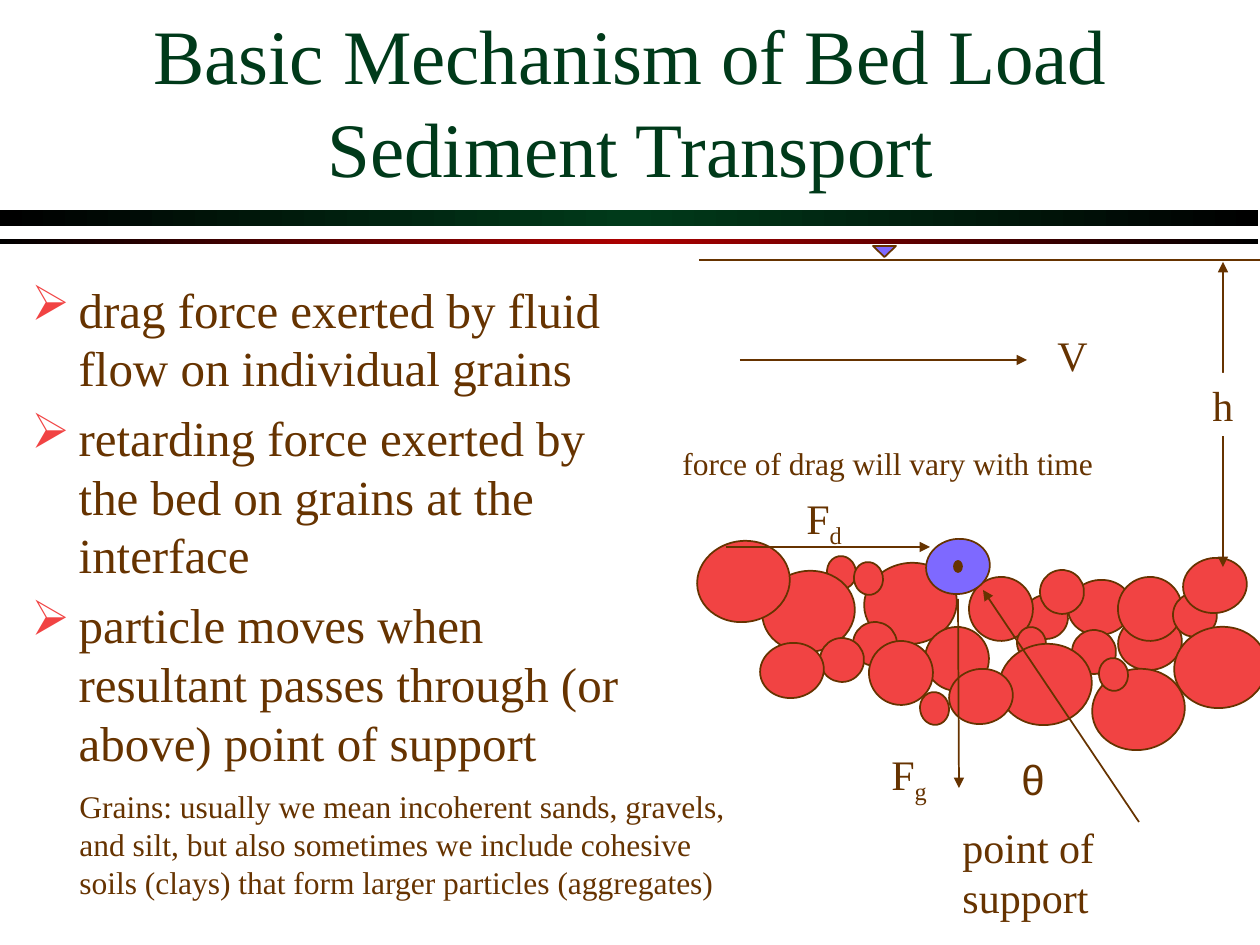
from pptx import Presentation
from pptx.dml.color import RGBColor as RGB
from pptx.enum.shapes import MSO_CONNECTOR as CONN, MSO_SHAPE as SHAPE
from pptx.enum.text import MSO_ANCHOR as ANCHOR, MSO_AUTO_SIZE as AUTO, PP_ALIGN as ALIGN
from pptx.oxml import parse_xml
from pptx.oxml.ns import nsdecls
from pptx.util import Pt

# Content
INK = {"text": "663300", "title": "003A1A", "grain": "F14343", "moving": "7E69FF",
       "black": "000000", "red": "AC0000", "white": "FFFFFF"}
FONT = "Times New Roman"
TITLE = "Basic Mechanism of Bed Load Sediment Transport"
POINTS = [
    "drag force exerted by fluid flow on individual grains",
    "retarding force exerted by the bed on grains at the interface",
    "particle moves when resultant passes through (or above) point of support",
]
NOTE = ("Grains: usually we mean incoherent sands, gravels, and silt, but also "
        "sometimes we include cohesive soils (clays) that form larger particles "
        "(aggregates)")

BARS = [(210, 16, "title"), (239, 5, "red")]  # top, height, middle colour

SIZES = {"big": (93, 81), "round": (64, 64), "oval": (64, 55),
         "small": (44, 44), "tiny": (29, 33)}
GRAINS = [  # size, left, top; from back to front
    ("tiny", 827, 556), ("big", 864, 563), ("small", 1024, 595),
    ("round", 969, 577), ("round", 925, 627), ("oval", 1068, 580),
    ("big", 762, 571), ("small", 853, 622), ("moving", 926, 539),
    ("tiny", 1017, 627), ("tiny", 854, 562), ("small", 1072, 630),
    ("oval", 1118, 615), ("big", 697, 541), ("tiny", 1105, 689),
    ("big", 999, 644), ("small", 820, 638), ("round", 869, 641),
    ("round", 1118, 577), ("oval", 760, 643), ("big", 1092, 669),
    ("small", 1173, 593), ("oval", 949, 669), ("tiny", 920, 692),
    ("tiny", 1099, 658), ("small", 1040, 570), ("oval", 1183, 558),
    ("big", 1174, 627),
]
LINES = [  # from, to, arrowheads
    ((699, 260), (1260, 260), ()),               # water surface
    ((740, 360), (1027, 360), ("tailEnd",)),     # velocity
    ((726, 547), (930, 547), ("tailEnd",)),      # drag
    ((1223, 262), (1223, 567), ("headEnd", "tailEnd")),  # depth
    ((958, 599), (959, 788), ("tailEnd",)),      # gravity
    ((983, 590), (1139, 822), ("headEnd",)),     # point of support
]
LABELS = [  # text, subscript, box, size, font
    ("F", "d", (794, 486, 62, 63), 24, FONT),
    ("force of drag will vary with time", "", (670, 438, 436, 50), 18, FONT),
    ("V", "", (1045, 323, 55, 63), 24, FONT),
    ("F", "g", (879, 742, 62, 63), 24, FONT),
    ("θ", "", (1009, 747, 47, 63), 24, "Arial"),
    ("h", "", (1200, 373, 45, 63), 24, FONT),
]


# Helpers
def px(*vals):
    return [round(v * 914400 / 126) for v in vals]


def style(run, size, color="text", font=FONT):
    run.font.size, run.font.name = Pt(size), font
    run.font.color.rgb = RGB.from_string(INK[color])


def add_form(kind, box, color, turn=0):
    form = slide.shapes.add_shape(kind, *px(*box))
    form.shadow.inherit = False
    form.rotation = turn
    form.fill.solid()
    form.fill.fore_color.rgb = RGB.from_string(INK[color])
    form.line.color.rgb = RGB.from_string(INK["text"])
    form.line.width = Pt(1)
    return form


def add_text(texts, box, size, wrap=True, font=FONT):
    shape = slide.shapes.add_textbox(*px(*box))
    frame = shape.text_frame
    frame.word_wrap = wrap
    frame.text = "\n".join(texts)
    for para in frame.paragraphs:
        style(para.runs[0], size, font=font)
    return shape


def add_line(start, end, heads):
    line = slide.shapes.add_connector(CONN.STRAIGHT, *px(*start, *end))
    line.line.color.rgb = RGB.from_string(INK["text"])
    line.line.width = Pt(1)
    ln = line.line._get_or_add_ln()
    for head in heads:
        ln.append(parse_xml(f'<a:{head} {nsdecls("a")} type="triangle"/>'))
    ln.addnext(parse_xml(f'<a:effectLst {nsdecls("a")}/>'))


prs = Presentation()
prs.slide_width, prs.slide_height = px(1260, 945)
slide = prs.slides.add_slide(prs.slide_layouts[5])

# Title with a hard shadow
title = slide.shapes.title
title.left, title.top, title.width, title.height = px(95, 42, 1071, 157)
frame = title.text_frame
frame.text = TITLE
frame.auto_size, frame.vertical_anchor = AUTO.NONE, ANCHOR.BOTTOM
frame.paragraphs[0].alignment = ALIGN.CENTER
run = frame.paragraphs[0].runs[0]
style(run, 44, "title")
run.font.fill._xPr.find("{*}solidFill").addnext(parse_xml(
    f'<a:effectLst {nsdecls("a")}><a:outerShdw dist="35921" dir="2700000">'
    f'<a:srgbClr val="{INK["black"]}"/></a:outerShdw></a:effectLst>'))

# Gradient bars
for top, high, mid in BARS:
    bar = add_form(SHAPE.RECTANGLE, (0, top, 1258, high), mid)
    bar.line.fill.background()
    stops = "".join(f'<a:gs pos="{pos}"><a:srgbClr val="{INK[name]}"/></a:gs>'
                    for pos, name in ((0, "black"), (50000, mid), (100000, "black")))
    solid = bar._element.spPr.find("{*}solidFill")
    solid.addnext(parse_xml(f'<a:gradFill {nsdecls("a")}><a:gsLst>{stops}</a:gsLst>'
                            '<a:lin ang="0" scaled="0"/></a:gradFill>'))
    bar._element.spPr.remove(solid)

# Bullet points and note
body = add_text(POINTS, (19, 273, 612, 567), 28)
for para in body.text_frame.paragraphs:
    para.space_before = Pt(6)
    props = para._p.get_or_add_pPr()
    props.set("marL", "342900")
    props.set("indent", "-342900")
    props.append(parse_xml(f'<a:buClr {nsdecls("a")}><a:srgbClr val="{INK["grain"]}"/></a:buClr>'))
    props.append(parse_xml(f'<a:buChar {nsdecls("a")} char="➢"/>'))
add_text([NOTE], (67, 781, 679, 126), 18)

# Grains of the bed
for size, left, top in GRAINS:
    moving = size == "moving"
    dims = SIZES["oval" if moving else size]
    add_form(SHAPE.OVAL, (left, top, *dims), "moving" if moving else "grain", 351)

# Water mark, forces and centre of the moving grain
add_form(SHAPE.ISOSCELES_TRIANGLE, (873, 246, 23, 11), "moving", 180)
for line in LINES:
    add_line(*line)
add_form(SHAPE.OVAL, (954, 561, 8, 11), "text")

# Labels
for text, sub, box, size, font in LABELS:
    label = add_text([text], box, size, False, font)
    if sub:
        run = label.text_frame.paragraphs[0].add_run()
        run.text = sub
        style(run, size)
        run.font._element.set("baseline", "-25000")
    if text == "h":
        label.fill.solid()
        label.fill.fore_color.rgb = RGB.from_string(INK["white"])
support = add_text(["point of support"], (950, 815, 294, 63), 24)
support.text_frame.margin_right = px(100)[0]

prs.save("out.pptx")
